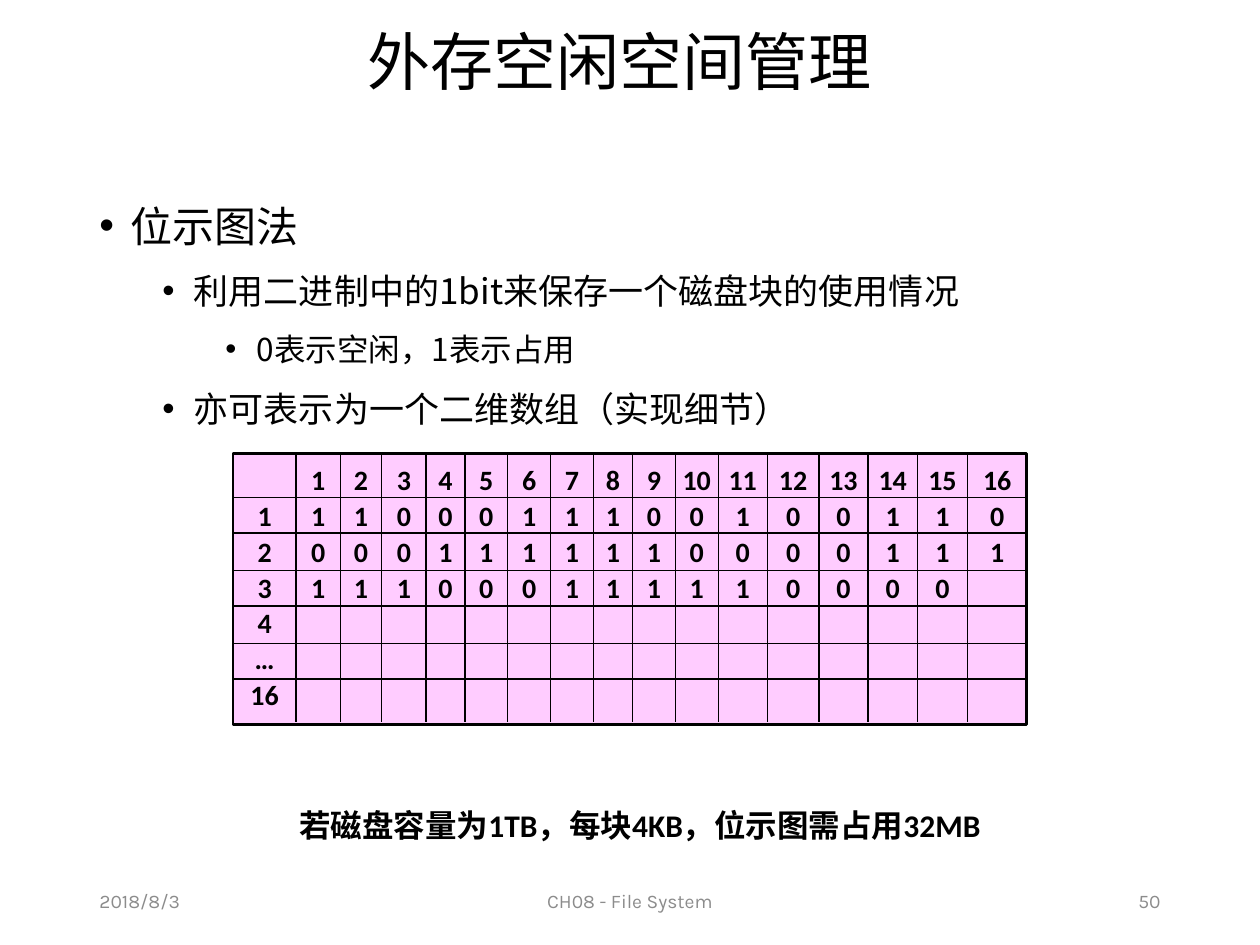
import pptx
import pptx.util
import pptx.dml.color
import pptx.enum.shapes
import pptx.enum.text
import pptx.oxml.ns
from lxml import etree

Inches, Pt = pptx.util.Inches, pptx.util.Pt
RGB = pptx.dml.color.RGBColor.from_string
qn = pptx.oxml.ns.qn
ALIGN, ANCHOR = pptx.enum.text.PP_ALIGN, pptx.enum.text.MSO_ANCHOR
COLORS = {"text": "000000", "footer": "8C8C8C", "cell": "FFCCFF", "grid": "000000"}
CJK = "Noto Sans CJK SC"


def write(p, text, size, font, color="text", bold=False, align=ALIGN.LEFT):
    p.alignment = align
    r = p.add_run()
    r.text = text
    for name, value in {"size": Pt(size), "name": font, "bold": bold}.items():
        setattr(r.font, name, value)
    r.font.color.rgb = RGB(COLORS[color])
    ea = CJK if font == "Calibri" else font
    etree.SubElement(r.font._element, qn("a:ea"), typeface=ea)


def add_text(left, top, width, height, anchor=ANCHOR.TOP):
    sp = s.shapes.add_textbox(Inches(left), Inches(top), Inches(width), Inches(height))
    sp.text_frame.word_wrap = True
    sp.text_frame.vertical_anchor = anchor
    return sp.text_frame


prs = pptx.Presentation()
prs.slide_width, prs.slide_height = Inches(10), Inches(7.5)
s = prs.slides.add_slide(prs.slide_layouts[5])

title = s.shapes.title
for name, value in {"left": 0.61, "top": 0.14, "width": 8.62, "height": 0.76}.items():
    setattr(title, name, Inches(value))
title.text_frame.vertical_anchor = ANCHOR.MIDDLE
p = title.text_frame.paragraphs[0]
p.line_spacing = 0.9
write(p, "外存空闲空间管理", 36, CJK, align=ALIGN.CENTER)

bullets = [
    (0, 24, "位示图法"),
    (1, 20, "利用二进制中的1bit来保存一个磁盘块的使用情况"),
    (2, 18, "0表示空闲，1表示占用"),
    (1, 20, "亦可表示为一个二维数组（实现细节）"),
]
tf = add_text(0.69, 1.44, 8.62, 5.38)
for i, (level, size, text) in enumerate(bullets):
    p = tf.add_paragraph() if i else tf.paragraphs[0]
    p.level = level
    p.line_spacing = 1.25
    p.space_before = Pt(5 if i else 0)
    pPr = p._p.get_or_add_pPr()
    pPr.set("marL", str(Inches(0.25 + 0.5 * level)))
    pPr.set("indent", str(Inches(-0.25)))
    etree.SubElement(pPr, qn("a:buFont"), typeface="Arial")
    etree.SubElement(pPr, qn("a:buChar"), char="•")
    write(p, text, size, CJK)

rows = [
    ["", *map(str, range(1, 17))],
    ["1", *"1100011100100110"],
    ["2", *"0001111110000111"],
    ["3", *"111000111110000"],
    ["4"],
    ["…"],
    ["16"],
]
left, top, right, bottom = 1.85, 3.6, 8.15, 5.75
col_lines = [2.35, 2.7, 3.03, 3.38, 3.69, 4.03, 4.37, 4.71, 5.02,
             5.36, 5.7, 6.09, 6.5, 6.89, 7.28, 7.68]
row_lines = [3.95, 4.23, 4.53, 4.81, 5.11, 5.39]
col_edges = [left, *col_lines, right]
centers = [(a + b) / 2 for a, b in zip(col_edges, col_edges[1:])]

bitmap = s.shapes.add_shape(pptx.enum.shapes.MSO_SHAPE.RECTANGLE, Inches(left), Inches(top),
                            Inches(right - left), Inches(bottom - top))
bitmap.shadow.inherit = False
bitmap.fill.solid()
bitmap.fill.fore_color.rgb = RGB(COLORS["cell"])
bitmap.line.color.rgb = RGB(COLORS["grid"])
bitmap.line.width = Pt(1.5)
tf = bitmap.text_frame
frame_format = {"word_wrap": True, "vertical_anchor": ANCHOR.TOP, "margin_left": 0,
                "margin_right": 0, "margin_top": Inches(0.07)}
for name, value in frame_format.items():
    setattr(tf, name, value)
for i, row in enumerate(rows):
    p = tf.add_paragraph() if i else tf.paragraphs[0]
    p.space_before = Pt(1.3 if i else 0)
    tabs = etree.SubElement(p._p.get_or_add_pPr(), qn("a:tabLst"))
    for x in centers:
        etree.SubElement(tabs, qn("a:tab"), pos=str(Inches(x - left)), algn="ctr")
    write(p, "\t" + "\t".join(row), 16, "Calibri", bold=True)

grid = [(left, y, right, y) for y in row_lines]
grid += [(x, top, x, 5.73) for x in col_lines]
for ends in grid:
    line = s.shapes.add_connector(pptx.enum.shapes.MSO_CONNECTOR.STRAIGHT, *map(Inches, ends))
    line.line.color.rgb = RGB(COLORS["grid"])
    line.line.width = Pt(0.75)
    etree.SubElement(line._element.spPr, qn("a:effectLst"))

tf = add_text(1.85, 6.35, 6.46, 0.4)
write(tf.paragraphs[0], "若磁盘容量为1TB，每块4KB，位示图需占用32MB", 18, "Calibri",
      bold=True, align=ALIGN.CENTER)

footers = [
    (0.69, 2.25, "2018/8/3", ALIGN.LEFT),
    (3.31, 3.38, "CH08 - File System", ALIGN.CENTER),
    (7.06, 2.25, "50", ALIGN.RIGHT),
]
for x, width, text, align in footers:
    tf = add_text(x, 6.95, width, 0.4, ANCHOR.MIDDLE)
    write(tf.paragraphs[0], text, 11, "Karla", "footer", align=align)

prs.save("out.pptx")
